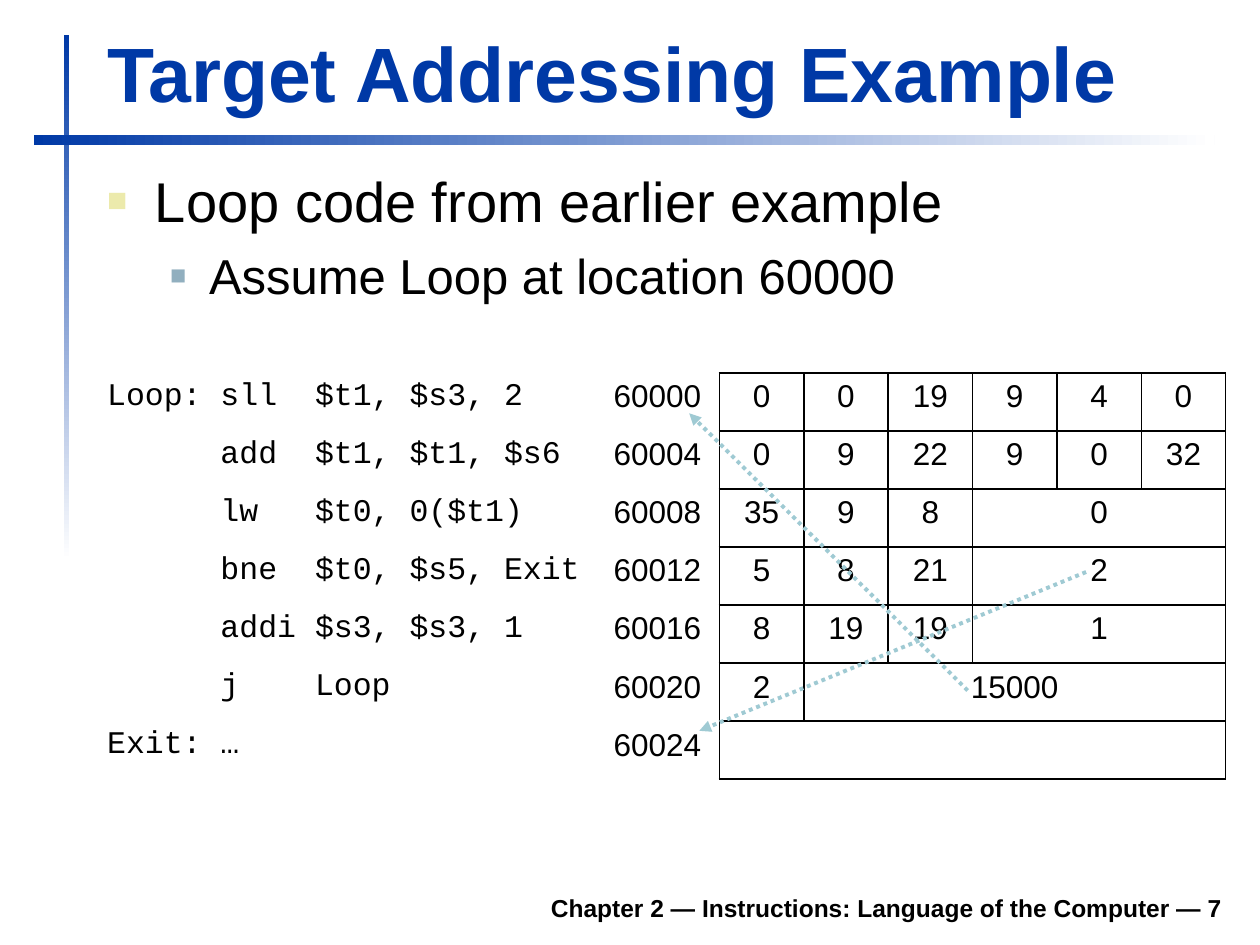
from typing import NamedTuple

from lxml.etree import SubElement as Sub
from pptx import Presentation
from pptx.dml.color import RGBColor
from pptx.enum.dml import MSO_LINE
from pptx.enum.shapes import MSO_CONNECTOR, MSO_SHAPE
from pptx.enum.text import MSO_ANCHOR, MSO_AUTO_SIZE, PP_ALIGN
from pptx.oxml.ns import qn
from pptx.util import Inches, Pt

BLUE = RGBColor(0x00, 0x39, 0xA6)
WHITE = RGBColor(0xFF, 0xFF, 0xFF)
BLACK = RGBColor(0x00, 0x00, 0x00)
CREAM = RGBColor(0xEC, 0xEA, 0xAC)
SLATE = RGBColor(0x91, 0xAF, 0xBF)
AQUA = RGBColor(0x9F, 0xCA, 0xD3)
SANS, MONO = "Arial", "Courier New"

# The slide is a grid of 100 columns by 75 rows
UNIT = Inches(0.1)
COLS, ROWS = 100, 75


def grid(n: float) -> int:
    return round(n * UNIT)


class Box(NamedTuple):
    left: float
    top: float
    width: float
    height: float

    def place(self) -> list[int]:
        return [grid(n) for n in self]


class Bar(NamedTuple):
    box: Box
    angle: int


class Point(NamedTuple):
    text: str
    level: int
    size: int
    left: float
    hang: float
    color: RGBColor
    scale: int
    before: int


class Arrow(NamedTuple):
    start: tuple[float, float]
    end: tuple[float, float]


class Step(NamedTuple):
    code: str
    fields: list[str]


BARS = [Bar(Box(5.1, 2.8, 0.4, 41.7), 270), Bar(Box(2.7, 10.7, 93.7, 0.8), 0)]
POINTS = [
    Point("Loop code from earlier example", 0, 32, 3.8, 3.8, CREAM, 60, 0),
    Point("Assume Loop at location 60000", 1, 28, 8.1, 3.1, SLATE, 55, 7),
]
# The last field of a short row spans the columns that remain
STEPS = [
    Step("Loop: sll  $t1, $s3, 2", ["0", "0", "19", "9", "4", "0"]),
    Step("      add  $t1, $t1, $s6", ["0", "9", "22", "9", "0", "32"]),
    Step("      lw   $t0, 0($t1)", ["35", "9", "8", "0"]),
    Step("      bne  $t0, $s5, Exit", ["5", "8", "21", "2"]),
    Step("      addi $s3, $s3, 1", ["8", "19", "19", "1"]),
    Step("      j    Loop", ["2", "15000"]),
    Step("Exit: …", [""]),
]
WIDTHS = [40.2, 9.4] + [6.7] * 6
HIGH = 4.61
START, WORD = 60000, 4
ARROWS = [Arrow((76.8, 54.8), (54.7, 32.8)), Arrow((86.2, 45.4), (55.5, 58))]


def write(para, text: str, size: int, face=SANS, color=BLACK, bold=False):
    run = para.add_run()
    run.text = text
    font = run.font
    font.name, font.size, font.bold = face, Pt(size), bold
    font.color.rgb = color


def move(shape, box: Box):
    shape.left, shape.top, shape.width, shape.height = box.place()


def draw_bar(shapes, bar: Bar):
    shape = shapes.add_shape(MSO_SHAPE.RECTANGLE, *bar.box.place())
    shape.shadow.inherit = False
    shape.line.fill.background()
    shape.fill.gradient()
    shape.fill.gradient_angle = bar.angle
    for stop, color in zip(shape.fill.gradient_stops, (BLUE, WHITE)):
        stop.color.rgb = color


def add_point(para, point: Point):
    para.level = point.level
    props = para._p.get_or_add_pPr()
    props.set("marL", str(grid(point.left)))
    props.set("indent", str(-grid(point.hang)))
    tint = Sub(props, qn("a:buClr"))
    Sub(tint, qn("a:srgbClr"), val=str(point.color))
    Sub(props, qn("a:buSzPct"), val=str(point.scale * 1000))
    Sub(props, qn("a:buFont"), typeface=SANS)
    Sub(props, qn("a:buChar"), char="■")
    para.space_before = Pt(point.before)
    write(para, point.text, point.size)


def set_edges(cell, colors: dict[str, RGBColor]):
    props = cell._tc.get_or_add_tcPr()
    for side in "LRTB":
        line = Sub(props, qn(f"a:ln{side}"), w=str(Pt(1)))
        fill = Sub(line, qn("a:solidFill"))
        Sub(fill, qn("a:srgbClr"), val=str(colors[side]))
    cell.fill.background()


def draw_table(shapes):
    box = Box(7.5, 29.6, sum(WIDTHS), HIGH * len(STEPS))
    table = shapes.add_table(len(STEPS), len(WIDTHS), *box.place()).table
    table.first_row = table.horz_banding = False
    for col, width in zip(table.columns, WIDTHS):
        col.width = grid(width)
    for row in table.rows:
        row.height = grid(HIGH)

    plain, solid = dict.fromkeys("LRTB", WHITE), dict.fromkeys("LRTB", BLACK)
    edges = [plain, plain | {"R": BLACK}] + [solid] * 6
    last = len(WIDTHS) - 1
    for r, step in enumerate(STEPS):
        for c, colors in enumerate(edges):
            set_edges(table.cell(r, c), colors)
        texts = [step.code, str(START + r * WORD)] + step.fields
        end = len(texts) - 1
        if end < last:
            table.cell(r, end).merge(table.cell(r, last))
        for c, text in enumerate(texts):
            if text:
                para = table.cell(r, c).text_frame.paragraphs[0]
                para.alignment = PP_ALIGN.CENTER if c > 1 else PP_ALIGN.LEFT
                write(para, text, 18, SANS if c else MONO)


def draw_arrow(shapes, arrow: Arrow):
    ends = [grid(n) for n in arrow.start + arrow.end]
    link = shapes.add_connector(MSO_CONNECTOR.STRAIGHT, *ends)
    link.line.color.rgb = AQUA
    link.line.width = Pt(2.25)
    link.line.dash_style = MSO_LINE.ROUND_DOT
    Sub(link.line._get_or_add_ln(), qn("a:tailEnd"), type="triangle")
    Sub(link._element.spPr, qn("a:effectLst"))


def main():
    deck = Presentation()
    deck.slide_width, deck.slide_height = grid(COLS), grid(ROWS)
    slide = deck.slides.add_slide(deck.slide_layouts[1])
    shapes = slide.shapes

    # Rules beside and below the title
    for bar in BARS:
        draw_bar(shapes, bar)

    # Title
    title = shapes.title
    move(title, Box(7.5, 1.6, 90.3, 8.3))
    frame = title.text_frame
    frame.auto_size = MSO_AUTO_SIZE.NONE
    frame.vertical_anchor = MSO_ANCHOR.BOTTOM
    frame.paragraphs[0].alignment = PP_ALIGN.LEFT
    write(frame.paragraphs[0], "Target Addressing Example", 44, color=BLUE, bold=True)

    # Bulleted list
    body = slide.placeholders[1]
    move(body, Box(7.5, 12.3, 90.5, 13.4))
    frame = body.text_frame
    frame.auto_size = MSO_AUTO_SIZE.NONE
    frame.margin_top = grid(0.9)
    for i, point in enumerate(POINTS):
        add_point(frame.add_paragraph() if i else frame.paragraphs[0], point)

    # Code with its addresses and instruction fields
    draw_table(shapes)
    for arrow in ARROWS:
        draw_arrow(shapes, arrow)

    # Footer
    foot = shapes.add_textbox(*Box(18.5, 69.8, 79.5, 3.9).place()).text_frame
    foot.word_wrap = True
    foot.vertical_anchor = MSO_ANCHOR.BOTTOM
    foot.paragraphs[0].alignment = PP_ALIGN.RIGHT
    write(foot.paragraphs[0], "Chapter 2 — Instructions: Language of the Computer — 7", 14, bold=True)

    deck.save("out.pptx")


if __name__ == "__main__":
    main()
